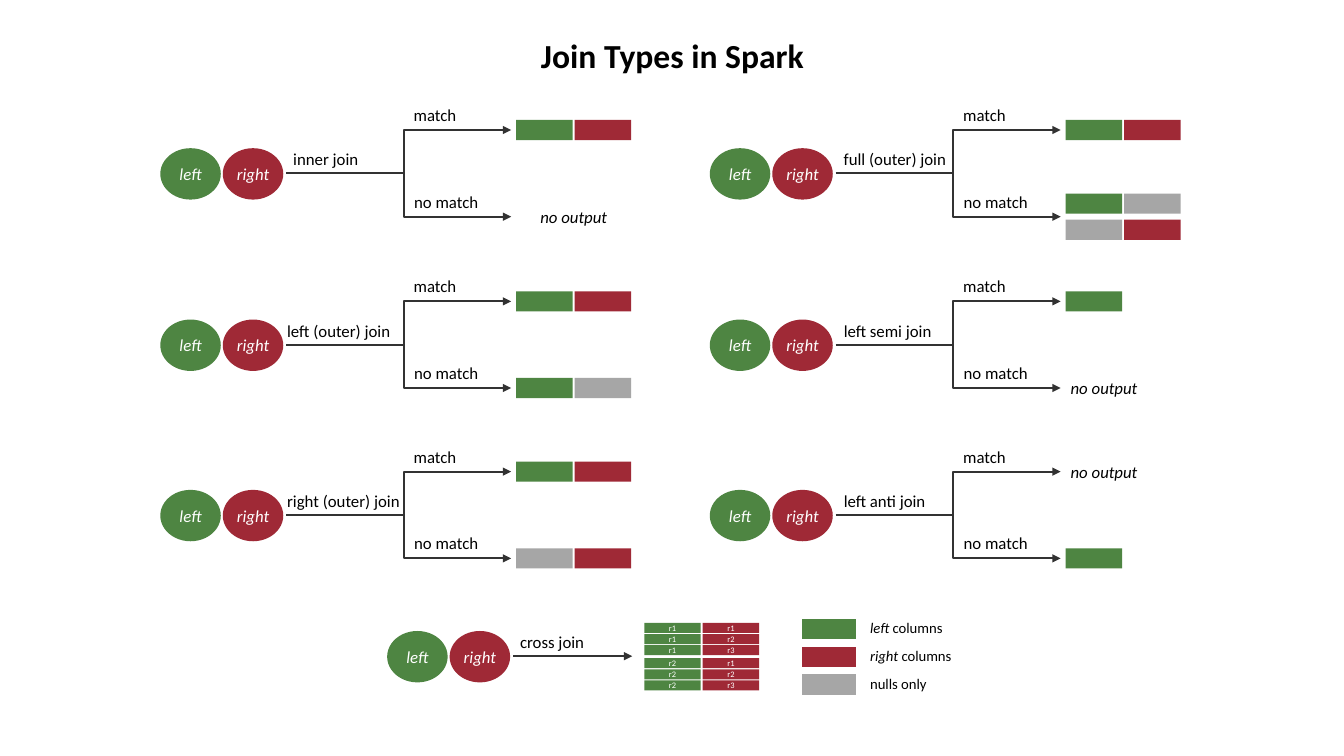
from lxml.etree import SubElement
from pptx import Presentation
from pptx.dml.color import RGBColor
from pptx.enum.shapes import MSO_CONNECTOR, MSO_SHAPE
from pptx.enum.text import MSO_ANCHOR, MSO_AUTO_SIZE, PP_ALIGN
from pptx.oxml import parse_xml
from pptx.oxml.ns import nsdecls, qn
from pptx.util import Inches, Pt

GREEN = RGBColor(0x4E, 0x85, 0x42)
RED = RGBColor(0x9F, 0x29, 0x36)
GRAY = RGBColor(0xA6, 0xA6, 0xA6)
DARK = RGBColor(0x32, 0x32, 0x32)
BLACK = RGBColor(0, 0, 0)
WHITE = RGBColor(0xFF, 0xFF, 0xFF)

COLUMN_LEFTS = (1.59, 7.04)
ROW_CENTERS = (1.72, 3.42, 5.11)
BRANCH_RISE = 0.43
BAR_PITCH = 0.58
NO_OUTPUT = "no output"
BOTH = [(GREEN, RED)]
LEFT_ONLY = [(GREEN,)]

JOINS = [
    (0, 0, "inner join", 1.22, 0.85, BOTH, NO_OUTPUT),
    (0, 1, "left (outer) join", 1.16, 1.24, BOTH, [(GREEN, GRAY)]),
    (0, 2, "right (outer) join", 1.16, 1.33, BOTH, [(GRAY, RED)]),
    (1, 0, "full (outer) join", 1.23, 1.23, BOTH, [(GREEN, GRAY), (GRAY, RED)]),
    (1, 1, "left semi join", 1.23, 1.09, LEFT_ONLY, NO_OUTPUT),
    (1, 2, "left anti join", 1.23, 1.02, NO_OUTPUT, LEFT_ONLY),
]
LEGEND = [
    (GREEN, [("left", True), (" columns", False)]),
    (RED, [("right", True), (" columns", False)]),
    (GRAY, [("nulls only", False)]),
]


class JoinSlide:
    font = "Calibri"

    def __init__(self, slide):
        self.slide = slide

    def add_words(self, paragraph, text, size=12, color=BLACK, bold=False, italic=False):
        run = paragraph.add_run()
        run.text = text
        run.font.name = self.font
        run.font.size = Pt(size)
        run.font.color.rgb = color
        run.font.bold = bold
        run.font.italic = italic

    def label(self, text, left, top, width, height=0.3, align=PP_ALIGN.LEFT,
              wrap=False, **style):
        box = self.slide.shapes.add_textbox(
            Inches(left), Inches(top), Inches(width), Inches(height))
        frame = box.text_frame
        frame.word_wrap = wrap
        frame.auto_size = MSO_AUTO_SIZE.SHAPE_TO_FIT_TEXT
        frame.paragraphs[0].alignment = align
        self.add_words(frame.paragraphs[0], text, **style)

    def block(self, kind, left, top, width, height, fill, text="", **style):
        shape = self.slide.shapes.add_shape(
            kind, Inches(left), Inches(top), Inches(width), Inches(height))
        shape.shadow.inherit = False
        shape.fill.solid()
        shape.fill.fore_color.rgb = fill
        shape.line.fill.background()
        if text:
            frame = shape.text_frame
            frame.vertical_anchor = MSO_ANCHOR.MIDDLE
            frame.paragraphs[0].alignment = PP_ALIGN.CENTER
            self.add_words(frame.paragraphs[0], text, color=WHITE, **style)
        return shape

    def arrow(self, kind, start, end):
        arrow = self.slide.shapes.add_connector(
            kind, *(Inches(value) for value in (*start, *end)))
        arrow.line.color.rgb = DARK
        arrow.line.width = Pt(1.5)
        properties = arrow._element.spPr
        SubElement(properties.find(qn("a:ln")), qn("a:tailEnd"), type="triangle")
        SubElement(properties, qn("a:effectLst"))
        if kind == MSO_CONNECTOR.ELBOW:
            guides = properties.find(qn("a:prstGeom")).find(qn("a:avLst"))
            SubElement(guides, qn("a:gd"), name="adj1", fmla="val 52300")

    def inputs(self, left, center):
        for offset, fill, side in ((0, GREEN, "left"), (0.62, RED, "right")):
            oval = self.block(MSO_SHAPE.OVAL, left + offset, center - 0.25, 0.6, 0.51,
                              fill, side, italic=True)
            oval.text_frame.margin_left = oval.text_frame.margin_right = 0

    def outcome(self, result, left, center):
        first_top = center - 0.1 - 0.13 * (len(result) - 1)
        for row, fills in enumerate(result):
            for column, fill in enumerate(fills):
                self.block(MSO_SHAPE.RECTANGLE, left + column * BAR_PITCH,
                           first_top + row * 0.26, 0.56, 0.2, fill)

    def join(self, column, row, name, name_offset, name_width, matched, unmatched):
        left, center = COLUMN_LEFTS[column], ROW_CENTERS[row]
        self.inputs(left, center)
        self.label(name, left + name_offset, center - 0.29, name_width)
        branches = (("match", 0.63, -BRANCH_RISE, matched),
                    ("no match", 0.85, BRANCH_RISE, unmatched))
        for caption, width, rise, result in branches:
            end = center + rise
            self.arrow(MSO_CONNECTOR.ELBOW, (left + 1.25, center), (left + 3.48, end))
            self.label(caption, left + 2.41, end - 0.3, width, align=PP_ALIGN.CENTER)
            if result == NO_OUTPUT:
                offset = 3.66 if column == 0 else 3.47
                self.label(NO_OUTPUT, left + offset, end - 0.15, 0.88,
                           align=PP_ALIGN.CENTER, wrap=True, italic=True)
            else:
                self.outcome(result, left + 3.53, end)

    def cross_join(self, left, center):
        self.inputs(left, center)
        self.label("cross join", left + 1.22, center - 0.29, 0.85)
        self.arrow(MSO_CONNECTOR.STRAIGHT, (left + 1.25, center), (left + 2.43, center))
        for left_row in range(2):
            for right_row in range(3):
                top = 6.18 + left_row * 0.35 + right_row * 0.11
                pair = ((GREEN, left_row), (RED, right_row))
                for column, (fill, index) in enumerate(pair):
                    self.block(MSO_SHAPE.RECTANGLE, 6.39 + column * BAR_PITCH, top,
                               0.56, 0.1, fill, f"r{index + 1}", size=6)

    def border(self, cell):
        properties = cell._tc.get_or_add_tcPr()
        for index, side in enumerate("LRTB"):
            properties.insert(index, parse_xml(
                f'<a:ln{side} {nsdecls("a")} w="{Pt(6)}"><a:solidFill>'
                f'<a:srgbClr val="{WHITE}"/></a:solidFill></a:ln{side}>'))

    def legend(self, left, top):
        table = self.slide.shapes.add_table(
            len(LEGEND), 2, Inches(left), Inches(top), Inches(1.73), Inches(0.82)).table
        table.first_row = table.horz_banding = False
        table.columns[0].width = Inches(0.61)
        table.columns[1].width = Inches(1.12)
        for row, (fill, words) in enumerate(LEGEND):
            swatch, meaning = table.cell(row, 0), table.cell(row, 1)
            swatch.fill.solid()
            swatch.fill.fore_color.rgb = fill
            SubElement(swatch.text_frame.paragraphs[0]._p, qn("a:endParaRPr"), sz="1050")
            meaning.fill.background()
            meaning.vertical_anchor = MSO_ANCHOR.MIDDLE
            for text, italic in words:
                self.add_words(meaning.text_frame.paragraphs[0], text, 10.5, italic=italic)
            self.border(swatch)
            self.border(meaning)


def main():
    deck = Presentation()
    deck.slide_width, deck.slide_height = Inches(13.33), Inches(7.5)
    page = JoinSlide(deck.slides.add_slide(deck.slide_layouts[6]))
    page.legend(7.92, 6.1)
    page.label("Join Types in Spark", 5.25, 0.3, 2.84, 0.5, PP_ALIGN.CENTER,
               size=24, bold=True)
    for join in JOINS:
        page.join(*join)
    page.cross_join(3.84, 6.51)
    deck.save("out.pptx")


if __name__ == "__main__":
    main()
